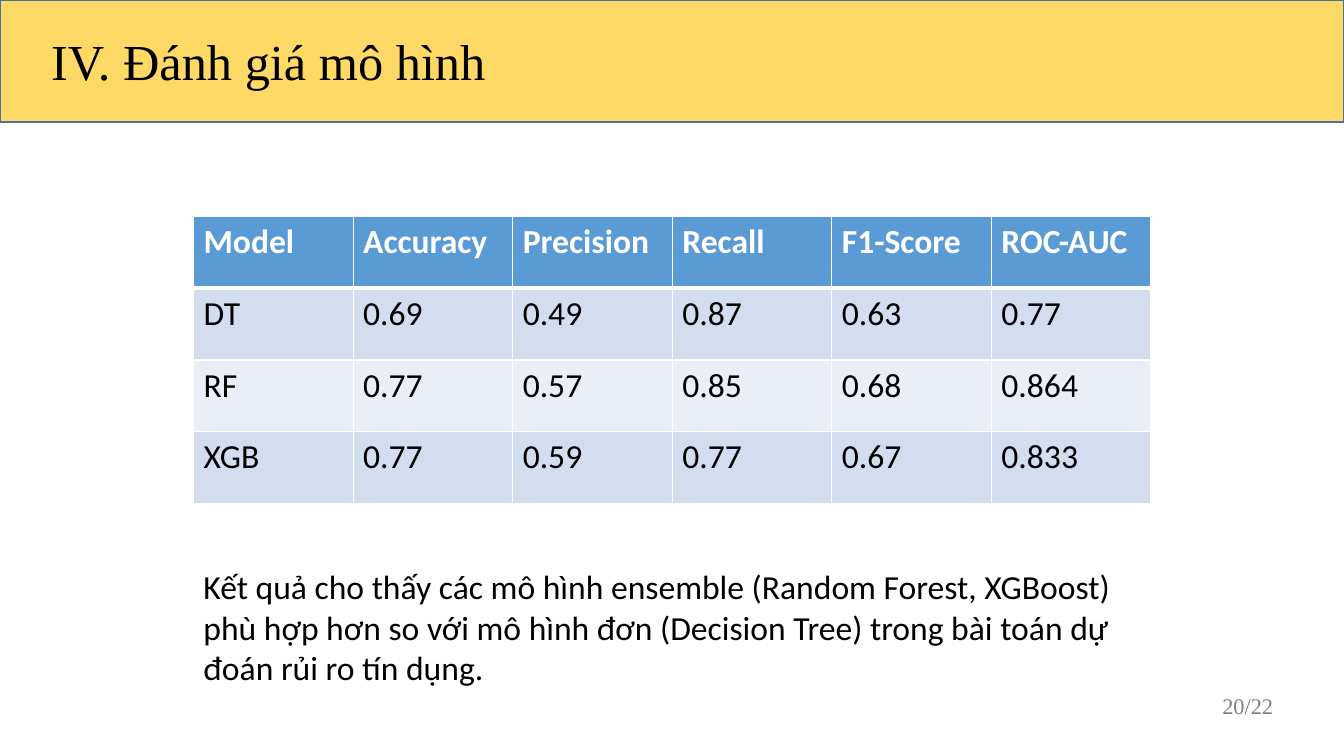
from dataclasses import dataclass
from lxml.etree import SubElement
from pptx import Presentation
from pptx.dml.color import RGBColor
from pptx.enum.shapes import MSO_SHAPE
from pptx.oxml.ns import qn
from pptx.util import Pt


@dataclass(frozen=True)
class Theme:
    banner: str = "FFD966"
    banner_line: str = "43739E"
    header: str = "5B9BD5"
    bands: tuple = ("D2DEEF", "EAEFF7")
    white: str = "FFFFFF"
    ink: str = "000000"
    muted: str = "808080"
    serif: str = "Times New Roman"
    sans: str = "Calibri"
    title_size: int = 36
    body_size: int = 24
    number_size: int = 16


theme = Theme()


def write(frame, text, size, font, color, bold=False):
    span = frame.paragraphs[0].add_run()
    span.text = text
    span.font.size = Pt(size)
    span.font.name = font
    span.font.bold = bold
    span.font.color.rgb = RGBColor.from_string(color)


def add_border(cell, side, width):
    properties = cell._tc.get_or_add_tcPr()
    line = SubElement(properties, qn(f"a:ln{side}"), w=str(Pt(width)))
    fill = SubElement(line, qn("a:solidFill"))
    SubElement(fill, qn("a:srgbClr"), val=theme.white)


deck = Presentation()
deck.slide_width, deck.slide_height = Pt(960), Pt(540)
page = deck.slides.add_slide(deck.slide_layouts[6])

banner = page.shapes.add_shape(MSO_SHAPE.RECTANGLE, Pt(0), Pt(0), Pt(960), Pt(87.25))
banner.shadow.inherit = False
banner.fill.solid()
banner.fill.fore_color.rgb = RGBColor.from_string(theme.banner)
banner.line.color.rgb = RGBColor.from_string(theme.banner_line)
banner.line.width = Pt(1)

scores = [
    ("Model", "Accuracy", "Precision", "Recall", "F1-Score", "ROC-AUC"),
    ("DT", "0.69", "0.49", "0.87", "0.63", "0.77"),
    ("RF", "0.77", "0.57", "0.85", "0.68", "0.864"),
    ("XGB", "0.77", "0.59", "0.77", "0.67", "0.833"),
]
table = page.shapes.add_table(
    len(scores), len(scores[0]), Pt(138.25), Pt(154.75), Pt(684), Pt(205)
).table
for row, values in enumerate(scores):
    is_header = row == 0
    color = theme.white if is_header else theme.ink
    background = theme.header if is_header else theme.bands[(row - 1) % 2]
    for column, value in enumerate(values):
        cell = table.cell(row, column)
        write(cell.text_frame, value, theme.body_size, theme.sans, color, is_header)
        add_border(cell, "L", 1)
        add_border(cell, "R", 1)
        add_border(cell, "T", 3 if row == 1 else 1)
        add_border(cell, "B", 3 if is_header else 1)
        cell.fill.solid()
        cell.fill.fore_color.rgb = RGBColor.from_string(background)

conclusion = (
    "Kết quả cho thấy các mô hình ensemble (Random Forest, XGBoost) phù hợp hơn "
    "so với mô hình đơn (Decision Tree) trong bài toán dự đoán rủi ro tín dụng."
)
texts = [
    (29.5, 18, 559.5, 51, "IV. Đánh giá mô hình", theme.title_size, theme.serif, theme.ink),
    (138.25, 401, 684, 94.5, conclusion, theme.body_size, theme.sans, theme.ink),
    (866, 490.5, 93, 26.5, "20/22", theme.number_size, theme.serif, theme.muted),
]
for left, top, width, height, text, size, font, color in texts:
    box = page.shapes.add_textbox(Pt(left), Pt(top), Pt(width), Pt(height))
    box.text_frame.word_wrap = True
    write(box.text_frame, text, size, font, color)

deck.save("out.pptx")
